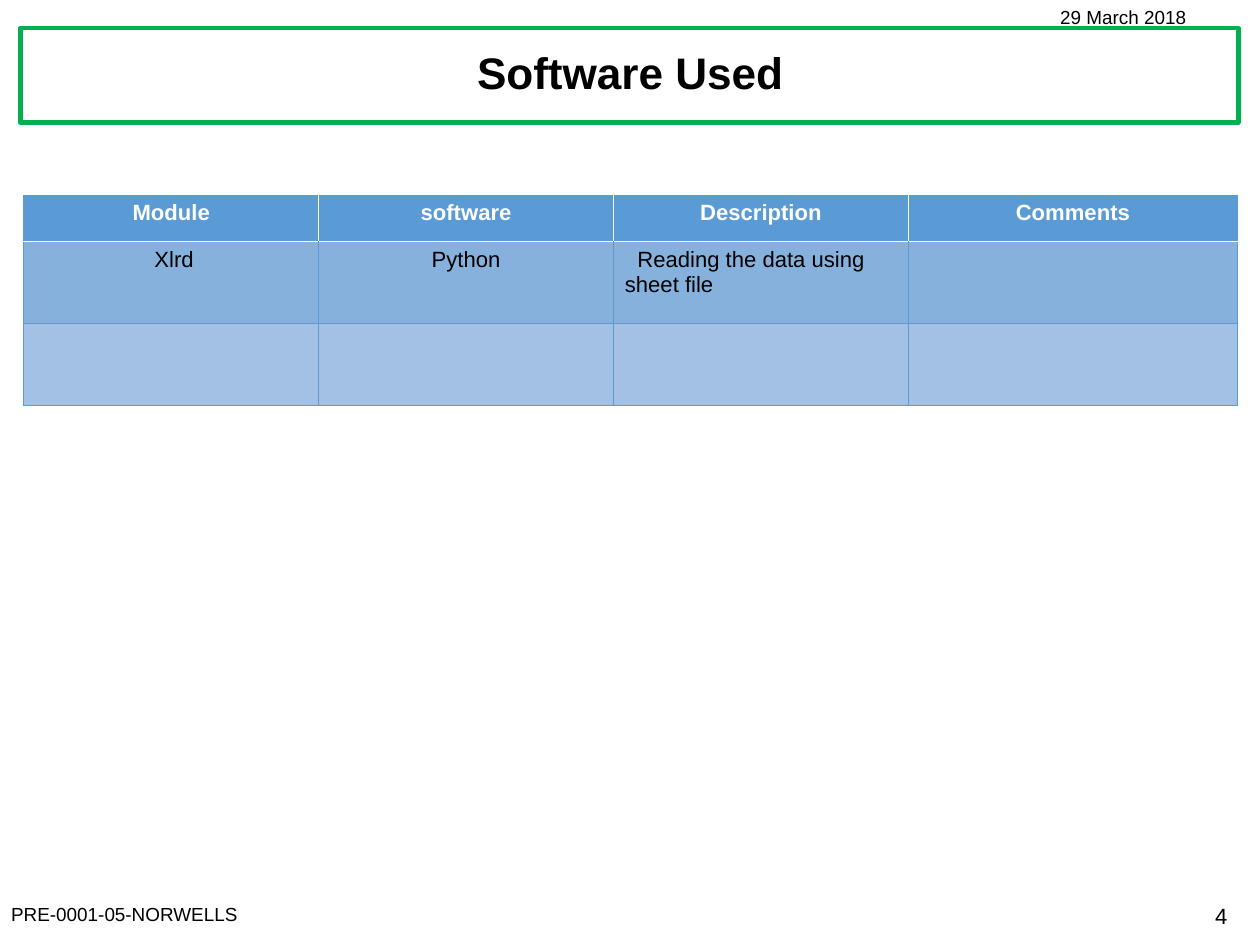
from pptx import Presentation
from pptx.dml.color import RGBColor
from pptx.enum.shapes import MSO_SHAPE
from pptx.enum.text import MSO_ANCHOR, PP_ALIGN
from pptx.oxml.xmlchemy import OxmlElement
from pptx.util import Inches, Pt

LEFT, CENTER, RIGHT = PP_ALIGN.LEFT, PP_ALIGN.CENTER, PP_ALIGN.RIGHT
MIDDLE = MSO_ANCHOR.MIDDLE
RECTANGLE = MSO_SHAPE.RECTANGLE

# Content
TITLE = "Software Used"
LABELS = [  # text, left, top, width, height, size, alignment
    ("4", 9.4, 7.91, 1.52, 0.34, 14, RIGHT),
    ("PRE-0001-05-NORWELLS", 0, 7.91, 4.28, 0.3, 12, LEFT),
    ("29 March 2018", 9.25, 0, 1.68, 0.3, 12, LEFT),
]
ROWS = [
    ["Module", "software", "Description", "Comments"],
    ["Xlrd", "Python", "Reading the data using sheet file", ""],
    ["", "", "", ""],
]
COLUMN_WIDTHS = [2.6, 2.6, 2.6, 2.9]
ROW_HEIGHTS = [0.41, 0.72, 0.72]
ROW_FILLS = ["5B9BD5", "86B1DD", "A3C0E5"]
INDENTS = {"Xlrd": 0.05, "Reading the data using sheet file": 0.11}
BLUE, WHITE, BLACK, GREEN = "5B9BD5", "FFFFFF", "000000", "00B050"


def color(value):
    return RGBColor.from_string(value)


def format_text(paragraph, size, alignment, text_color=BLACK, bold=False):
    paragraph.alignment = alignment
    for run in paragraph.runs:
        run.font.name = "Arial"
        run.font.size = Pt(size)
        run.font.bold = bold
        run.font.color.rgb = color(text_color)


def add_text(slide, text, left, top, width, height, size, alignment, bold=False):
    box = slide.shapes.add_textbox(
        Inches(left), Inches(top), Inches(width), Inches(height))
    box.text_frame.word_wrap = True
    box.text_frame.text = text
    format_text(box.text_frame.paragraphs[0], size, alignment, bold=bold)
    return box.text_frame


def set_borders(cell, edges):
    """Edges are (tag, colour, points), placed before the cell fill."""
    properties = cell._tc.get_or_add_tcPr()
    for position, (tag, line_color, points) in enumerate(edges):
        line = OxmlElement(f"a:{tag}")
        line.set("w", str(Pt(points)))
        fill = OxmlElement("a:solidFill")
        value = OxmlElement("a:srgbClr")
        value.set("val", line_color)
        fill.append(value)
        line.append(fill)
        properties.insert(position, line)


def cell_edges(row, column):
    top = (WHITE, 1) if row == 1 else (BLUE, 0.5)
    bottom = (WHITE, 1) if row == 0 else (BLUE, 0.5)
    edges = [("lnT", *top), ("lnB", *bottom)]
    if row > 0 or column == len(COLUMN_WIDTHS) - 1:
        edges.insert(0, ("lnR", BLUE, 0.5))
    if row > 0 or column == 0:
        edges.insert(0, ("lnL", BLUE, 0.5))
    return edges


def add_software_table(slide):
    table = slide.shapes.add_table(
        len(ROWS), len(COLUMN_WIDTHS), Inches(0.21), Inches(1.72),
        Inches(sum(COLUMN_WIDTHS)), Inches(sum(ROW_HEIGHTS))).table
    table.horz_banding = False
    for column, width in zip(table.columns, COLUMN_WIDTHS):
        column.width = Inches(width)
    for row, height in zip(table.rows, ROW_HEIGHTS):
        row.height = Inches(height)
    for row, texts in enumerate(ROWS):
        header = row == 0
        for column, text in enumerate(texts):
            cell = table.cell(row, column)
            cell.fill.solid()
            cell.fill.fore_color.rgb = color(ROW_FILLS[row])
            set_borders(cell, cell_edges(row, column))
            cell.text_frame.text = text
            paragraph = cell.text_frame.paragraphs[0]
            alignment = LEFT if column == 2 and not header else CENTER
            format_text(paragraph, 14, alignment, WHITE if header else BLACK, header)
            if text in INDENTS:
                paragraph_properties = paragraph._p.get_or_add_pPr()
                paragraph_properties.set("marL", "0")
                paragraph_properties.set("indent", str(Inches(INDENTS[text])))


def main():
    presentation = Presentation()
    presentation.slide_width = Inches(11.11)
    presentation.slide_height = Inches(8.33)
    slide = presentation.slides.add_slide(presentation.slide_layouts[6])

    # Title frame
    frame = slide.shapes.add_shape(
        RECTANGLE, Inches(0.18), Inches(0.25), Inches(10.74), Inches(0.83))
    frame.shadow.inherit = False
    frame.fill.solid()
    frame.fill.fore_color.rgb = color(WHITE)
    frame.line.color.rgb = color(GREEN)
    frame.line.width = Pt(2.75)

    # Date, document number, page number
    for label in LABELS:
        add_text(slide, *label)

    # Title
    title = add_text(slide, TITLE, 0.21, 0.25, 10.69, 0.83, 28, CENTER, bold=True)
    title.vertical_anchor = MIDDLE
    title.paragraphs[0].line_spacing = 0.9

    add_software_table(slide)
    presentation.save("out.pptx")


if __name__ == "__main__":
    main()
